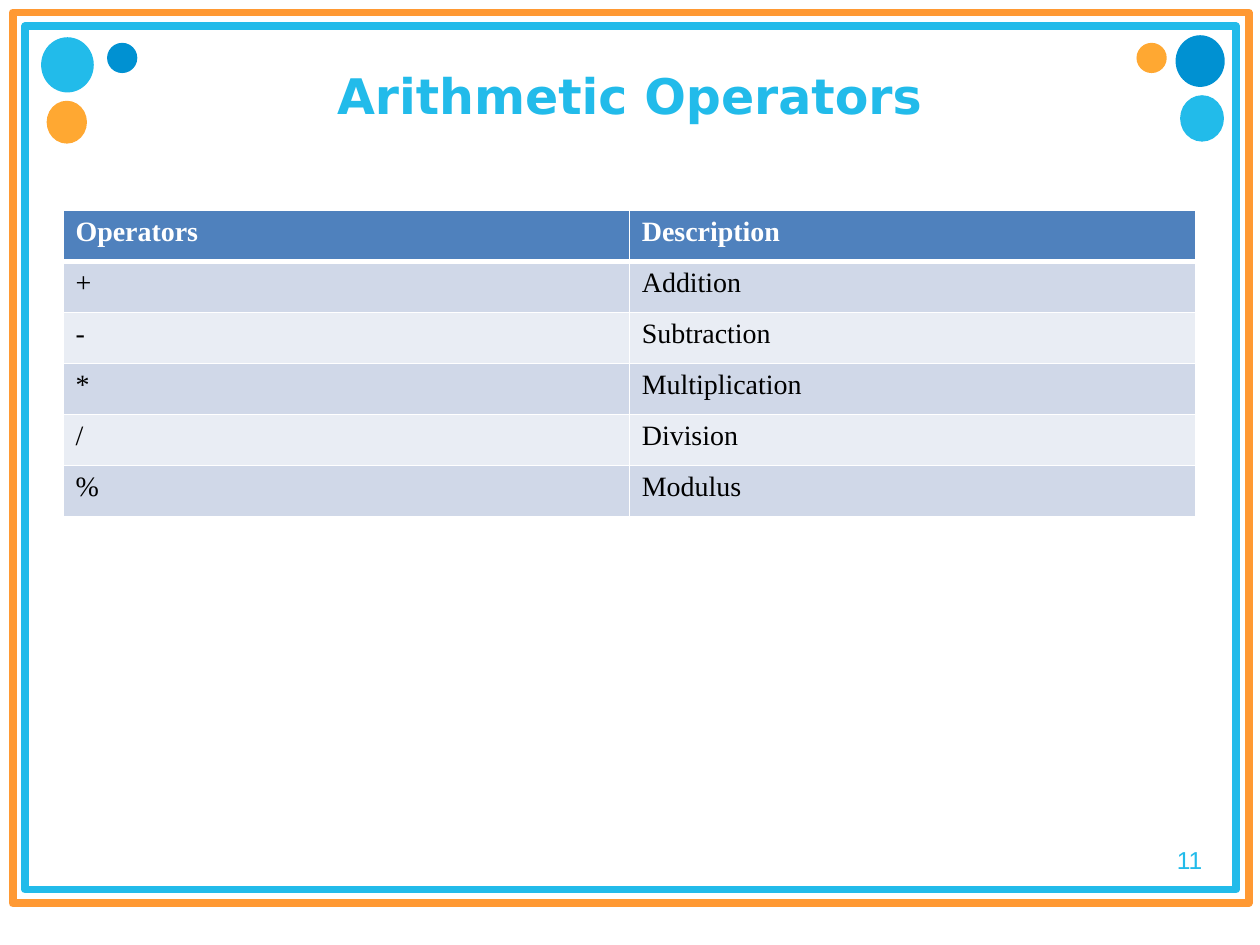
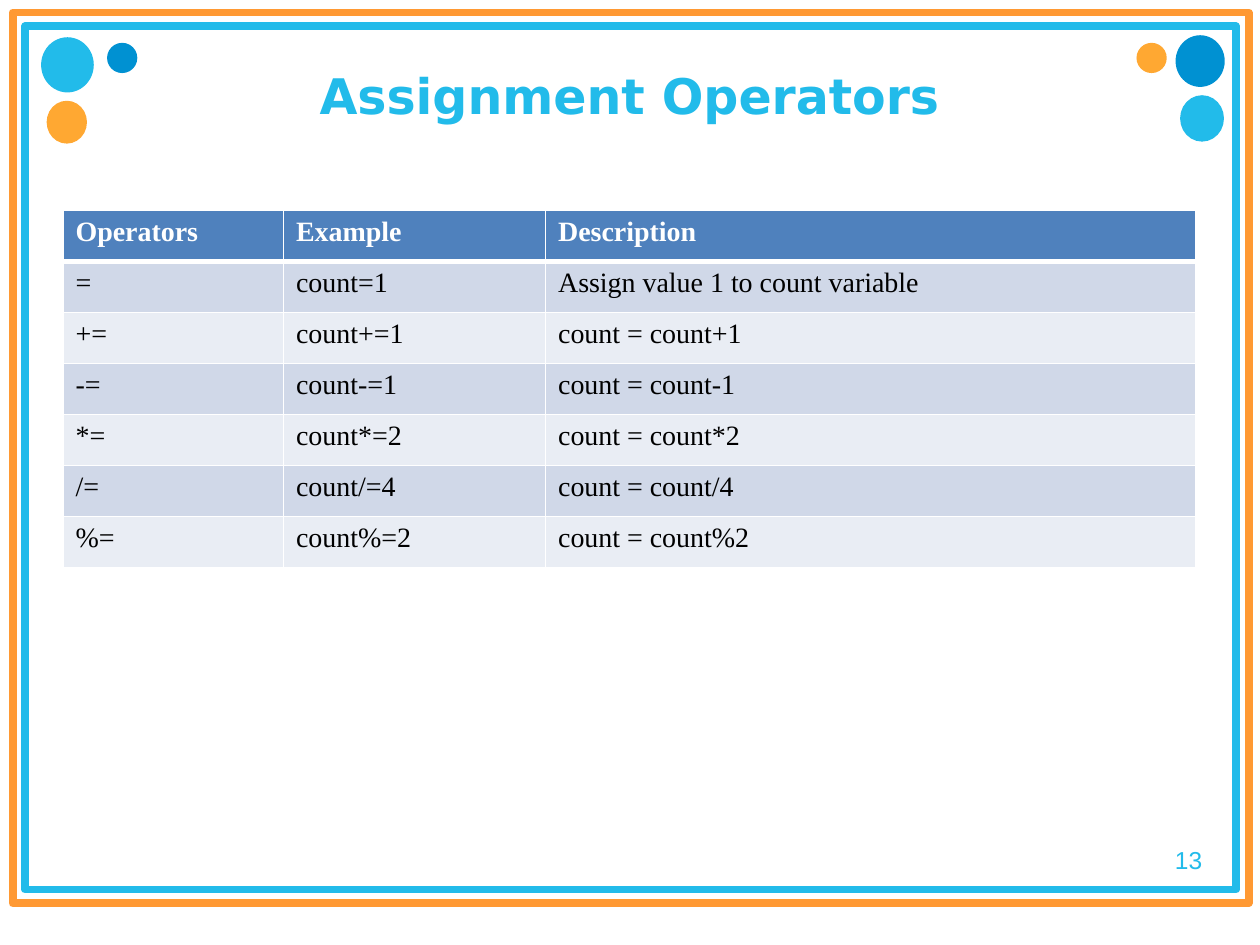
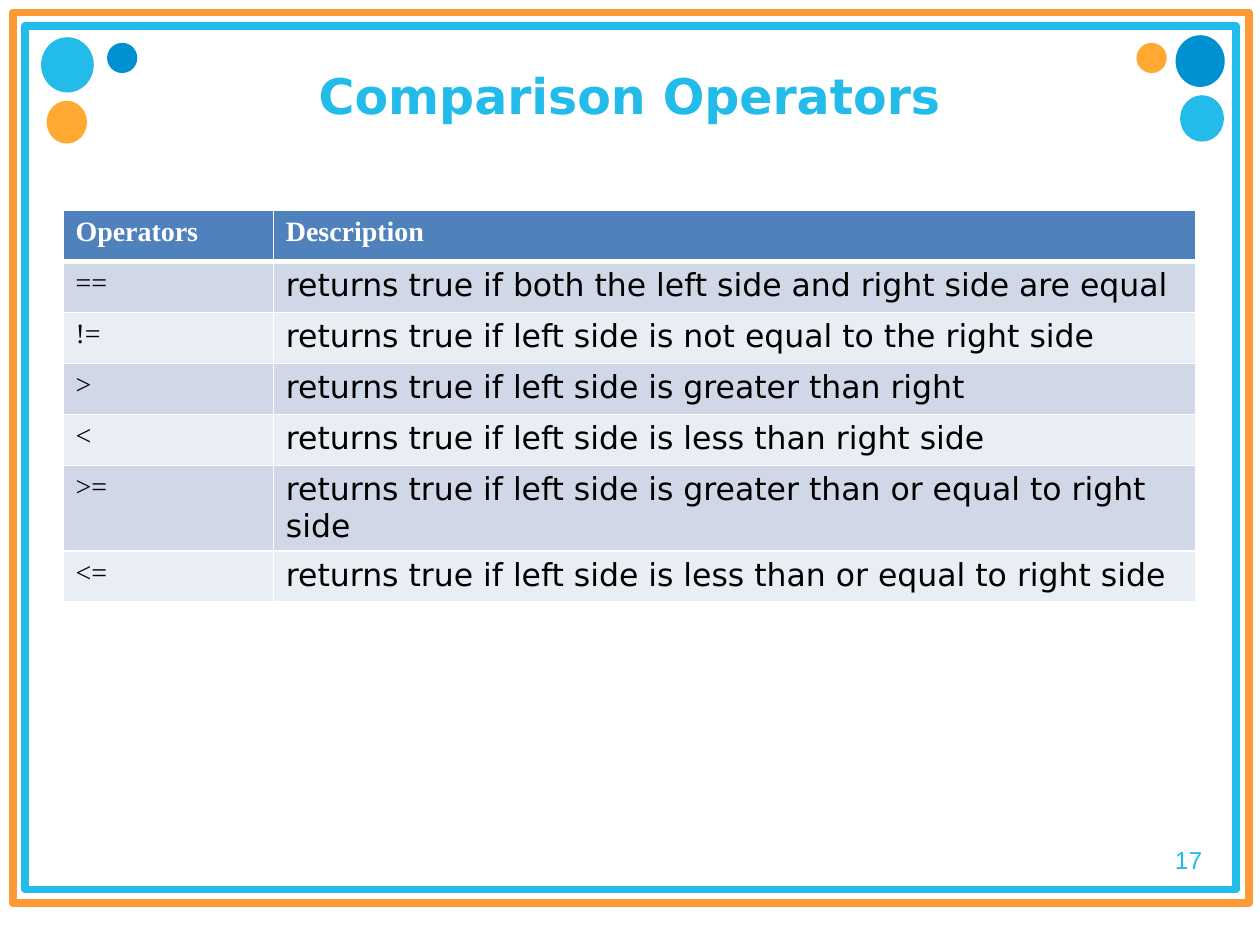
from lxml.etree import SubElement
from pptx import Presentation
from pptx.dml.color import RGBColor
from pptx.enum.shapes import MSO_SHAPE as Preset
from pptx.enum.text import MSO_ANCHOR as Anchor, MSO_AUTO_SIZE as AutoSize, PP_ALIGN as Align
from pptx.oxml.ns import qn
from pptx.util import Inches, Pt

COLOURS = {
    "sky": "22BBEA",
    "blue": "0091D2",
    "orange": "FF9933",
    "amber": "FF990F",
    "white": "FFFFFF",
    "black": "000000",
    "header": "4F81BD",
    "odd": "D0D8E8",
    "even": "E9EDF4",
}
COLUMNS, ROWS = 100, 75
TITLE_ONLY = 5
TABLE_LEFT, TABLE_TOP, ROW_HEIGHT = 5, 16.7, 4.05
SERIF, SANS = ("Times New Roman", 16), ("DejaVu Sans", 18)

FRAMES = [
    ((2, 2.1, 96.1, 68.5), "white", "sky"),
    ((1, 1, 98.1, 70.7), None, "orange"),
]
DOTS = [
    ((3.4, 3.1, 3.9, 4.1), "sky", True),
    ((8.5, 3.4, 2.4, 2.4), "blue", False),
    ((3.7, 8, 3.2, 3.4), "amber", False),
    ((93.3, 2.8, 3.9, 4.1), "blue", False),
    ((93.8, 7.7, 3.2, 3.4), "sky", True),
    ((90.2, 3.4, 2.4, 2.4), "amber", False),
]


def rgb(name):
    return RGBColor.from_string(COLOURS[name])


class Deck:
    def __init__(self):
        self.presentation = Presentation()
        self.presentation.slide_width = Inches(10)
        self.presentation.slide_height = Inches(7.5)
        self.slide = None

    def x(self, columns):
        return round(self.presentation.slide_width * columns / COLUMNS)

    def y(self, rows):
        return round(self.presentation.slide_height * rows / ROWS)

    def box(self, left, top, width, height):
        return self.x(left), self.y(top), self.x(width), self.y(height)

    def add_text(self, paragraph, wording, font, size, colour, bold=False):
        run = paragraph.add_run()
        run.text = wording
        run.font.name = font
        run.font.size = Pt(size)
        run.font.bold = bold
        run.font.color.rgb = rgb(colour)

    def shape(self, preset, area, fill, line=None, weight=0, opacity=100):
        shape = self.slide.shapes.add_shape(preset, *self.box(*area))
        shape.shadow.inherit = False
        if fill:
            shape.fill.solid()
            shape.fill.fore_color.rgb = rgb(fill)
        else:
            shape.fill.background()
        if opacity < 100:
            tint = next(shape.element.spPr.iter(qn("a:srgbClr")))
            SubElement(tint, qn("a:alpha"), val=str(opacity * 1000))
        if line:
            shape.line.color.rgb = rgb(line)
            shape.line.width = Pt(weight)
        else:
            shape.line.fill.background()

    def page_number(self, number):
        footer = self.slide.shapes.add_textbox(*self.box(86.2, 66.6, 10.2, 3.4))
        footer.text_frame.word_wrap = True
        footer.text_frame.auto_size = AutoSize.SHAPE_TO_FIT_TEXT
        paragraph = footer.text_frame.paragraphs[0]
        paragraph.alignment = Align.RIGHT
        self.add_text(paragraph, str(number), "Arial", 14, "sky")

    def title(self, wording):
        heading = self.slide.shapes.title
        heading.element.getparent().append(heading.element)
        heading.left, heading.top, heading.width, heading.height = self.box(5, 2.4, 89.9, 10.3)
        heading.text_frame.vertical_anchor = Anchor.MIDDLE
        paragraph = heading.text_frame.paragraphs[0]
        paragraph.alignment = Align.CENTER
        self.add_text(paragraph, wording, "DejaVu Sans", 28, "sky", True)

    def start(self, wording, number):
        layout = self.presentation.slide_layouts[TITLE_ONLY]
        self.slide = self.presentation.slides.add_slide(layout)
        for area, fill, line in FRAMES:
            self.shape(Preset.RECTANGLE, area, fill, line, 4.5)
        self.page_number(number)
        for area, fill, ringed in DOTS:
            self.shape(Preset.OVAL, area, fill, fill if ringed else None, 2,
                       85 if fill == "amber" else 100)
        self.title(wording)

    def borders(self, cell, top, bottom):
        properties = cell._tc.get_or_add_tcPr()
        for side, weight in (("L", 1), ("R", 1), ("T", top), ("B", bottom)):
            edge = SubElement(properties, qn(f"a:ln{side}"), w=str(Pt(weight)))
            SubElement(SubElement(edge, qn("a:solidFill")), qn("a:srgbClr"), val=COLOURS["white"])

    def table(self, widths, records, fonts):
        area = self.box(TABLE_LEFT, TABLE_TOP, sum(widths), ROW_HEIGHT * len(records))
        table = self.slide.shapes.add_table(len(records), len(widths), *area).table
        for column, width in zip(table.columns, widths):
            column.width = self.x(width)
        for row, record in enumerate(records):
            table.rows[row].height = self.y(ROW_HEIGHT)
            is_header = row == 0
            band = "header" if is_header else "odd" if row % 2 else "even"
            for column, wording in enumerate(record):
                cell = table.cell(row, column)
                self.borders(cell, 3 if row == 1 else 1, 3 if is_header else 1)
                cell.fill.solid()
                cell.fill.fore_color.rgb = rgb(band)
                font, size = SERIF if is_header else fonts[column]
                self.add_text(cell.text_frame.paragraphs[0], wording, font, size,
                              "white" if is_header else "black", is_header)


def main():
    deck = Deck()

    deck.start("Arithmetic Operators", 11)
    deck.table([44.95, 44.95], [
        ("Operators", "Description"),
        ("+", "Addition"),
        ("-", "Subtraction"),
        ("*", "Multiplication"),
        ("/", "Division"),
        ("%", "Modulus"),
    ], [SERIF, SERIF])

    deck.start("Assignment Operators", 13)
    compound = [("+", 1), ("-", 1), ("*", 2), ("/", 4), ("%", 2)]
    deck.table([17.5, 20.8, 51.6], [
        ("Operators", "Example", "Description"),
        ("=", "count=1", "Assign value 1 to count variable"),
        *((f"{sign}=", f"count{sign}={value}", f"count = count{sign}{value}")
          for sign, value in compound),
    ], [SERIF, SERIF, SERIF])

    deck.start("Comparison Operators", 17)
    comparisons = [
        ("==", "both the left side and right side are equal"),
        ("!=", "left side is not equal to the right side"),
        (">", "left side is greater than right"),
        ("<", "left side is less than right side"),
        (">=", "left side is greater than or equal to right side"),
        ("<=", "left side is less than or equal to right side"),
    ]
    deck.table([16.7, 73.2], [
        ("Operators", "Description"),
        *((sign, f"returns true if {condition}") for sign, condition in comparisons),
    ], [SERIF, SANS])

    deck.presentation.save("out.pptx")


if __name__ == "__main__":
    main()
